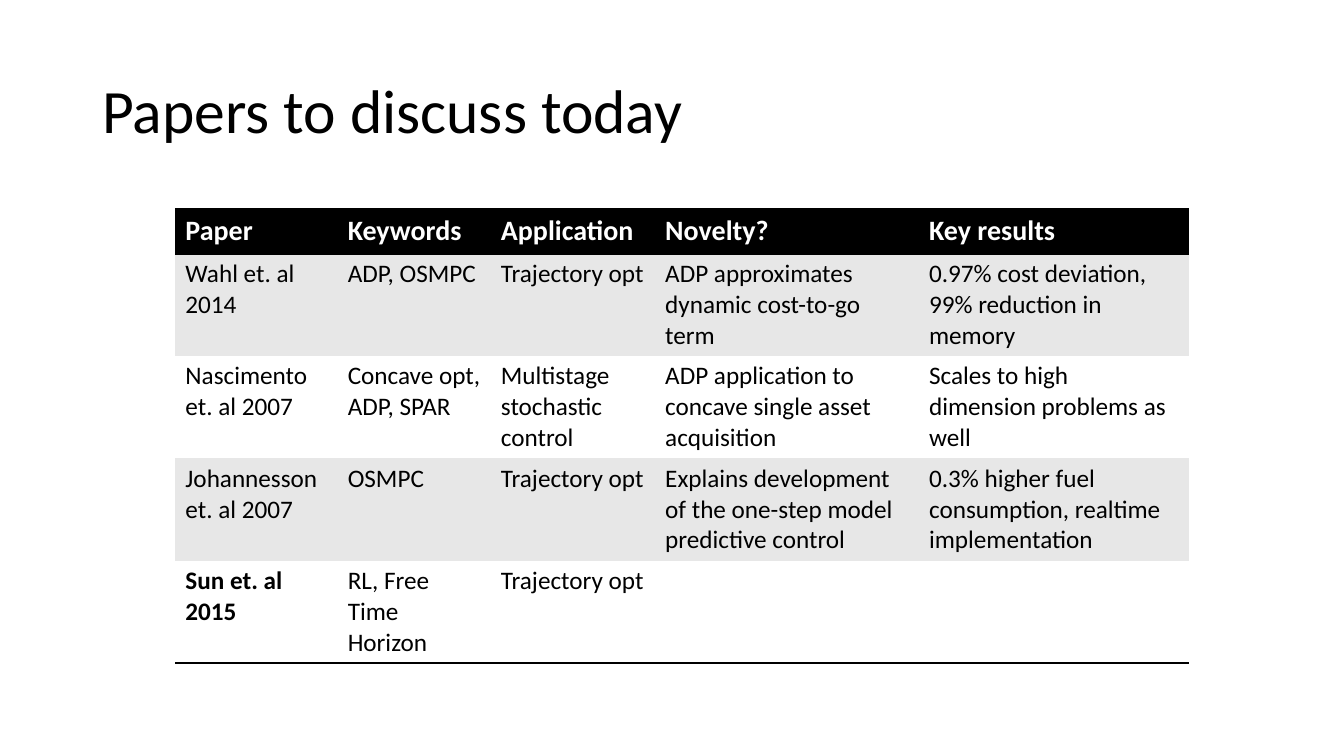
from lxml import etree
from pptx import Presentation
from pptx.dml.color import RGBColor
from pptx.enum.text import MSO_ANCHOR
from pptx.oxml.ns import qn
from pptx.util import Cm, Pt

MIDDLE = MSO_ANCHOR.MIDDLE
FONT = "Calibri"
BLACK, WHITE, GREY = "000000", "FFFFFF", "E7E7E7"
WIDTHS = [4.09, 3.86, 4.14, 6.65, 6.81]
HEAD, BODY = 1.13, 2.58
PAPERS = [
    ["Paper", "Keywords", "Application", "Novelty?", "Key results"],
    ["Wahl et. al 2014", "ADP, OSMPC", "Trajectory opt",
     "ADP approximates dynamic cost-to-go term",
     "0.97% cost deviation, 99% reduction in memory"],
    ["Nascimento et. al 2007", "Concave opt, ADP, SPAR",
     "Multistage stochastic control",
     "ADP application to concave single asset acquisition",
     "Scales to high dimension problems as well"],
    ["Johannesson et. al 2007", "OSMPC", "Trajectory opt",
     "Explains development of the one-step model predictive control",
     "0.3% higher fuel consumption, realtime implementation"],
    ["Sun et. al 2015", "RL, Free Time Horizon", "Trajectory opt", "", ""],
]


def color(code):
    return RGBColor.from_string(code)


def write(frame, text, size=18, ink=BLACK, bold=False, space=1.0):
    para = frame.paragraphs[0]
    para.line_spacing = space
    para.font.size = Pt(size)
    if not text:
        return
    run = para.add_run()
    run.text = text
    font = run.font
    font.name, font.size, font.bold = FONT, Pt(size), bold
    font.color.rgb = color(ink)


def edge(cell, sides):
    props = cell._tc.get_or_add_tcPr()
    for place, side in enumerate("LRTB"):
        line = etree.Element(qn(f"a:ln{side}"))
        if side in sides:
            line.set("w", str(Pt(2)))
            fill = etree.SubElement(line, qn("a:solidFill"))
            etree.SubElement(fill, qn("a:srgbClr"), val=BLACK)
        else:
            etree.SubElement(line, qn("a:noFill"))
        props.insert(place, line)


def paint(cell, fill, sides=""):
    cell.fill.solid()
    cell.fill.fore_color.rgb = color(fill)
    edge(cell, sides)


def title(slide, text):
    box = slide.shapes.add_textbox(Cm(2.33), Cm(1.02), Cm(29.21), Cm(3.68))
    frame = box.text_frame
    frame.word_wrap = True
    frame.vertical_anchor = MIDDLE
    write(frame, text, size=44, space=0.9)


def grid(slide, rows):
    last = len(rows) - 1
    shape = slide.shapes.add_table(
        len(rows), len(WIDTHS), Cm(4.42), Cm(5.26),
        Cm(sum(WIDTHS)), Cm(HEAD + BODY * last))
    table = shape.table
    table.horz_banding = False
    for col, width in zip(table.columns, WIDTHS):
        col.width = Cm(width)
    for r, texts in enumerate(rows):
        table.rows[r].height = Cm(BODY if r else HEAD)
        for c, text in enumerate(texts):
            cell = table.cell(r, c)
            if r == 0:
                paint(cell, BLACK, "TB")
                write(cell.text_frame, text, size=20, ink=WHITE, bold=True)
            else:
                paint(cell, GREY if r % 2 else WHITE, "B" if r == last else "")
                write(cell.text_frame, text, bold=r == last and c == 0)


def main():
    deck = Presentation()
    deck.slide_width, deck.slide_height = Cm(33.87), Cm(19.05)
    slide = deck.slides.add_slide(deck.slide_layouts[6])
    title(slide, "Papers to discuss today")
    grid(slide, PAPERS)
    deck.save("out.pptx")


if __name__ == "__main__":
    main()
